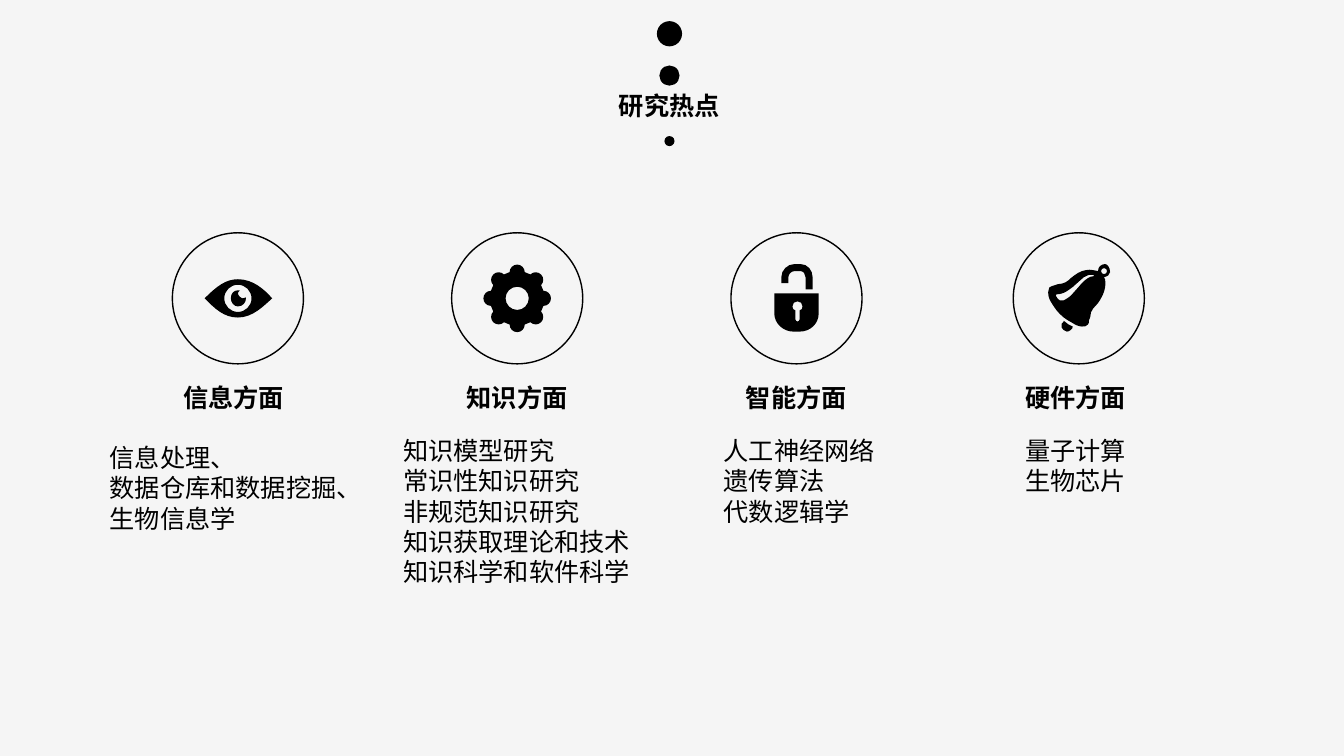
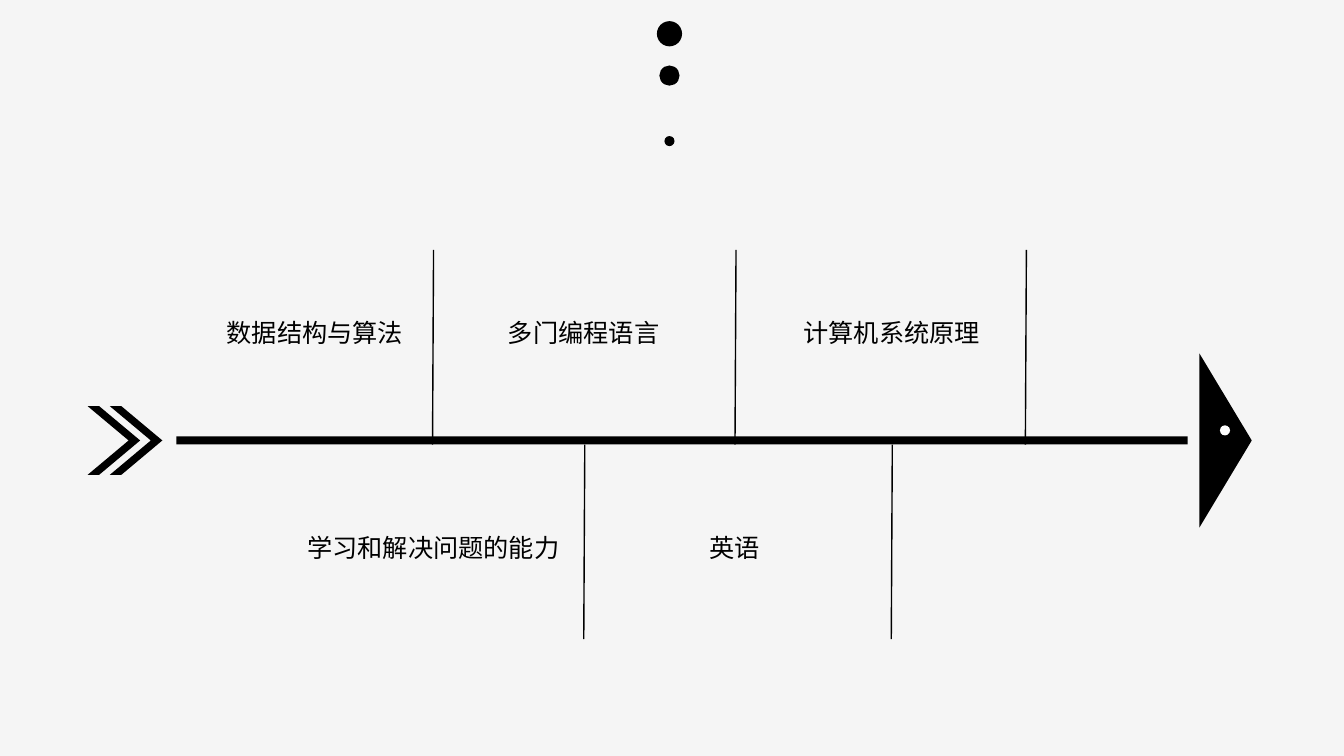
from dataclasses import dataclass
from math import cos, radians, sin

from lxml.etree import SubElement
from pptx import Presentation
from pptx.dml.color import RGBColor
from pptx.enum.shapes import MSO_CONNECTOR, MSO_SHAPE
from pptx.enum.text import MSO_AUTO_SIZE, PP_ALIGN
from pptx.oxml.ns import qn
from pptx.util import Inches, Pt

# Shared style
INK, PAPER, WHITE = "000000", "F5F5F5", "FFFFFF"
LATIN, CJK = "Calibri", "Noto Sans CJK SC"
TEXT_SIZE = 18
LINE_HEIGHT = 0.3
TITLE_DOTS = ((0.21, 0.25), (0.65, 0.2), (1.35, 0.1))  # top, diameter
DOT_AXIS = 6.64

Point = tuple[float, float]
# A start point, then corners (two numbers) and cubic curves (six numbers)
Outline = list[tuple[float, ...]]


@dataclass(frozen=True)
class Topic:
    center: float
    heading: str
    lines: tuple[str, ...]
    left: float
    width: float
    icon: list[Outline]
    heading_left: float
    shares_box: bool = False


@dataclass(frozen=True)
class Skill:
    text: str
    left: float
    width: float
    bone: float
    above: bool


# Drawing functions
def rgb(color: str) -> RGBColor:
    return RGBColor.from_string(color)


def paint(sp, fill: str | None = None, line: str | None = None):
    sp.shadow.inherit = False
    if fill:
        sp.fill.solid()
        sp.fill.fore_color.rgb = rgb(fill)
    else:
        sp.fill.background()
    if line:
        sp.line.color.rgb = rgb(line)
        sp.line.width = Pt(1)
    else:
        sp.line.fill.background()
    return sp


def add_shape(s, kind: MSO_SHAPE, x: float, y: float, w: float, h: float,
              fill: str | None = INK, line: str | None = None):
    sp = s.shapes.add_shape(kind, Inches(x), Inches(y), Inches(w), Inches(h))
    return paint(sp, fill, line)


def add_line(s, start: Point, end: Point) -> None:
    line = s.shapes.add_connector(MSO_CONNECTOR.STRAIGHT,
                                  *(Inches(v) for v in start + end))
    line.line.color.rgb = rgb(INK)
    line.line.width = Pt(1)
    SubElement(line._element.spPr, qn("a:effectLst"))


def add_box(s, x: float, y: float, w: float, h: float = 0.4, wrap: bool = False):
    tf = s.shapes.add_textbox(Inches(x), Inches(y), Inches(w), Inches(h)).text_frame
    tf.word_wrap = wrap
    tf.auto_size = MSO_AUTO_SIZE.SHAPE_TO_FIT_TEXT
    return tf


def write(tf, text: str, *, font: str = LATIN, bold: bool = False,
          align: PP_ALIGN = PP_ALIGN.LEFT, indent: float = 0, before: float = 0) -> None:
    p = tf.add_paragraph() if tf.text else tf.paragraphs[0]
    p.alignment = align
    if indent:
        p._p.get_or_add_pPr().set("marL", str(Inches(indent)))
    if before:
        p.space_before = Inches(before)
    r = p.add_run()
    r.text = text
    r.font.name, r.font.size, r.font.bold = font, Pt(TEXT_SIZE), bold
    r.font.color.rgb = rgb(INK)
    SubElement(r._r.rPr, qn("a:ea"), typeface=CJK)


def add_icon(s, outlines: list[Outline], cx: float, cy: float) -> None:
    builder = s.shapes.build_freeform(Inches(cx + outlines[0][0][0] / 100),
                                      Inches(cy + outlines[0][0][1] / 100), scale=1.0)
    for i, outline in enumerate(outlines):
        points = [(Inches(cx + x / 100), Inches(cy + y / 100))
                  for seg in outline for x, y in zip(seg[::2], seg[1::2])]
        if i:
            builder.move_to(*points[0])
        builder.add_line_segments(points[1:], close=True)
    sp = paint(builder.convert_to_shape(), INK)

    # Join each three control points into one cubic curve
    contour = sp._element.spPr.find(".//" + qn("a:path"))
    steps = iter(contour.findall(qn("a:lnTo")))
    for outline in outlines:
        for seg in outline[1:]:
            group = [next(steps) for _ in seg[::2]]
            if len(group) == 3:
                curve = SubElement(contour, qn("a:cubicBezTo"))
                group[0].addprevious(curve)
                for step in group:
                    curve.append(step[0])
                    contour.remove(step)


# Icon outlines, in hundredths of an inch from the icon's centre
def arc(cx: float, cy: float, radius: float, start: int = 0, quarters: int = 4) -> Outline:
    outline: Outline = []
    for i in range(quarters):
        a = radians(start + 90 * i)
        ux, uy = radius * cos(a), radius * sin(a)
        if not i:
            outline.append((cx + ux, cy + uy))
        outline.append((cx + ux - 0.55 * uy, cy + uy + 0.55 * ux,
                        cx - uy + 0.55 * ux, cy + ux + 0.55 * uy,
                        cx - uy, cy + ux))
    return outline


EYE = [
    [(-33, 0), (-21, -12, -12, -19, 0, -19), (15, -19, 26, -9, 34, 0),
     (26, 7, 15, 19, 0, 19), (-14, 19, -23, 10, -33, 0)],
    arc(0, 0, 13.5),
    [(0, -5), (0, -6, 1, -7, 2, -8), (1, -8, 1, -8, 0, -8), (-4, -8, -7, -5, -7, 0),
     (-7, 4, -4, 8, 0, 8), (5, 8, 8, 4, 8, 0), (8, -1, 8, -1, 8, -1),
     (7, -1, 6, 0, 5, 0), (3, 0, 0, -3, 0, -5)],
]
GEAR = [
    [seg for angle in range(0, 360, 45)
     for seg in arc(26 * cos(radians(angle)), 26 * sin(radians(angle)), 7.5,
                    angle - 90, 2)],
    arc(0, 0, 11.5),
]
LOCK = [
    [(-8, -21), (-8, -24, -5, -27, -2, -27), (4, -27), (7, -27, 9, -24, 9, -21),
     (9, -9), (16, -9), (16, -21), (16, -28, 11, -34, 4, -34), (-2, -34),
     (-9, -34, -15, -28, -15, -21), (-15, -15), (-8, -15)],
    [(-22, -5), (-22, 15), (-22, 25, -13, 33, -3, 33), (3, 33),
     (14, 33, 22, 25, 22, 15), (22, -5)],
    [(3, 12), (3, 21), (3, 22, 2, 23, 1, 23), (0, 23, -1, 22, -1, 21), (-1, 12),
     (-3, 12, -4, 10, -4, 8), (-4, 5, -2, 3, 1, 3), (4, 3, 6, 5, 6, 8),
     (6, 10, 5, 12, 3, 12)],
]
BELL = [
    [(19, -27), (17, -28, 16, -28, 14, -28), (12, -29, 9, -28, 7, -28),
     (1, -27, -3, -24, -8, -20), (-9, -19, -11, -17, -13, -16),
     (-15, -15, -18, -14, -21, -14), (-23, -13, -25, -13, -27, -12),
     (-29, -12, -30, -10, -30, -8), (-31, -6, -30, -1, -29, 1),
     (-27, 5, -25, 8, -22, 12), (-18, 17, -13, 21, -7, 24),
     (-4, 26, 0, 28, 3, 28), (5, 28, 8, 28, 9, 26), (10, 25, 10, 24, 10, 22),
     (11, 20, 12, 17, 12, 14), (13, 11, 15, 9, 17, 7), (20, 4, 22, 0, 24, -4),
     (26, -9, 27, -14, 26, -19), (25, -20, 25, -21, 25, -21),
     (29, -22, 30, -23, 31, -26), (31, -31, 28, -34, 26, -34),
     (22, -34, 19, -31, 19, -27)],
    arc(25, -27, 3),
    [(15, -22), (11, -22, 7, -19, 4, -16), (1, -13, -2, -9, -5, -6),
     (-8, -2, -11, 0, -15, 2), (-17, 2, -19, 2, -19, 2),
     (-21, 1, -22, -1, -23, -3), (-22, -4), (-19, -4, -15, -5, -12, -7),
     (-9, -9, -6, -11, -3, -14), (0, -16, 2, -19, 5, -21),
     (8, -23, 11, -24, 15, -23)],
    [(-6, 28), (-9, 27, -12, 25, -14, 23), (-15, 22, -15, 22, -15, 23),
     (-17, 24, -18, 26, -17, 29), (-16, 31, -15, 32, -12, 33),
     (-10, 33, -6, 31, -6, 28)],
]


# Presentation and the parts every slide has
prs = Presentation()
prs.slide_width, prs.slide_height = Inches(13.33), Inches(7.5)
background = prs.slide_master.background.fill
background.solid()
background.fore_color.rgb = rgb(PAPER)


def new_slide():
    s = prs.slides.add_slide(prs.slide_layouts[6])
    for top, size in TITLE_DOTS:
        add_shape(s, MSO_SHAPE.OVAL, DOT_AXIS - size / 2, top, size, size)
    return s


# Slide 1: research topics
RING, RING_CENTER = 1.3, 2.96
HEADING_TOP, BODY_TOP = 3.74, 4.27
TOPICS = (
    Topic(2.36, "信息方面", ("信息处理、", "数据仓库和数据挖掘、生物信息学"),
          0.99, 2.75, EYE, 1.72, shares_box=True),
    Topic(5.13, "知识方面",
          ("知识模型研究", "常识性知识研究", "非规范知识研究", "知识获取理论和技术",
           "知识科学和软件科学"), 3.9, 2.46, GEAR, 4.53),
    Topic(7.9, "智能方面", ("人工神经网络", "遗传算法", "代数逻辑学"),
          7.08, 2.12, LOCK, 7.3),
    Topic(10.7, "硬件方面", ("量子计算", "生物芯片"), 10.07, 2.12, BELL, 10.07),
)
s = new_slide()
for topic in TOPICS:
    badge = s.shapes.add_group_shape()
    add_shape(badge, MSO_SHAPE.OVAL, topic.center - RING / 2, RING_CENTER - RING / 2,
              RING, RING, fill=None, line=INK)
    add_icon(badge, topic.icon, topic.center, RING_CENTER)
    if topic.shares_box:
        tf = add_box(s, topic.left, HEADING_TOP, topic.width, 1.61, wrap=True)
        write(tf, topic.heading, bold=True, indent=topic.heading_left - topic.left)
        for i, line in enumerate(topic.lines):
            write(tf, line, before=0 if i else LINE_HEIGHT)
    else:
        write(add_box(s, topic.heading_left, HEADING_TOP, 1.2), topic.heading, bold=True)
        tf = add_box(s, topic.left, BODY_TOP, topic.width,
                     0.1 + LINE_HEIGHT * len(topic.lines), wrap=True)
        for line in topic.lines:
            write(tf, line, font=CJK, align=PP_ALIGN.JUSTIFY)
write(add_box(s, 6.04, 0.85, 1.2), "研究热点", bold=True)

# Slide 2: fishbone of skills
SPINE, BONE, SLANT = 4.41, 1.93, 0.01
SKILLS = (
    Skill("数据结构与算法", 2.15, 1.95, 4.3, True),
    Skill("多门编程语言", 4.94, 1.7, 7.3, True),
    Skill("计算机系统原理", 7.87, 1.95, 10.18, True),
    Skill("学习和解决问题的能力", 2.95, 2.7, 5.8, False),
    Skill("英语", 6.94, 0.7, 8.85, False),
)
s = new_slide()
fish = s.shapes.add_group_shape()
add_shape(fish, MSO_SHAPE.RECTANGLE, 1.75, 4.33, 10.03, 0.08)
for tail_left in (0.87, 1.09):
    tail = add_shape(fish, MSO_SHAPE.CHEVRON, tail_left, 4.03, 0.52, 0.68)
    tail.adjustments[0] = 0.78
head = add_shape(fish, MSO_SHAPE.ISOSCELES_TRIANGLE, 11.29, 4.11, 1.73, 0.52)
head.rotation = 90
add_shape(fish, MSO_SHAPE.OVAL, 12.1, 4.22, 0.1, 0.1, fill=WHITE)
for skill in SKILLS:
    bone_top = SPINE - BONE if skill.above else SPINE
    add_line(s, (skill.bone, bone_top), (skill.bone - SLANT, bone_top + BONE))
    write(add_box(s, skill.left, 3.1 if skill.above else 5.23, skill.width), skill.text)

prs.save("out.pptx")
